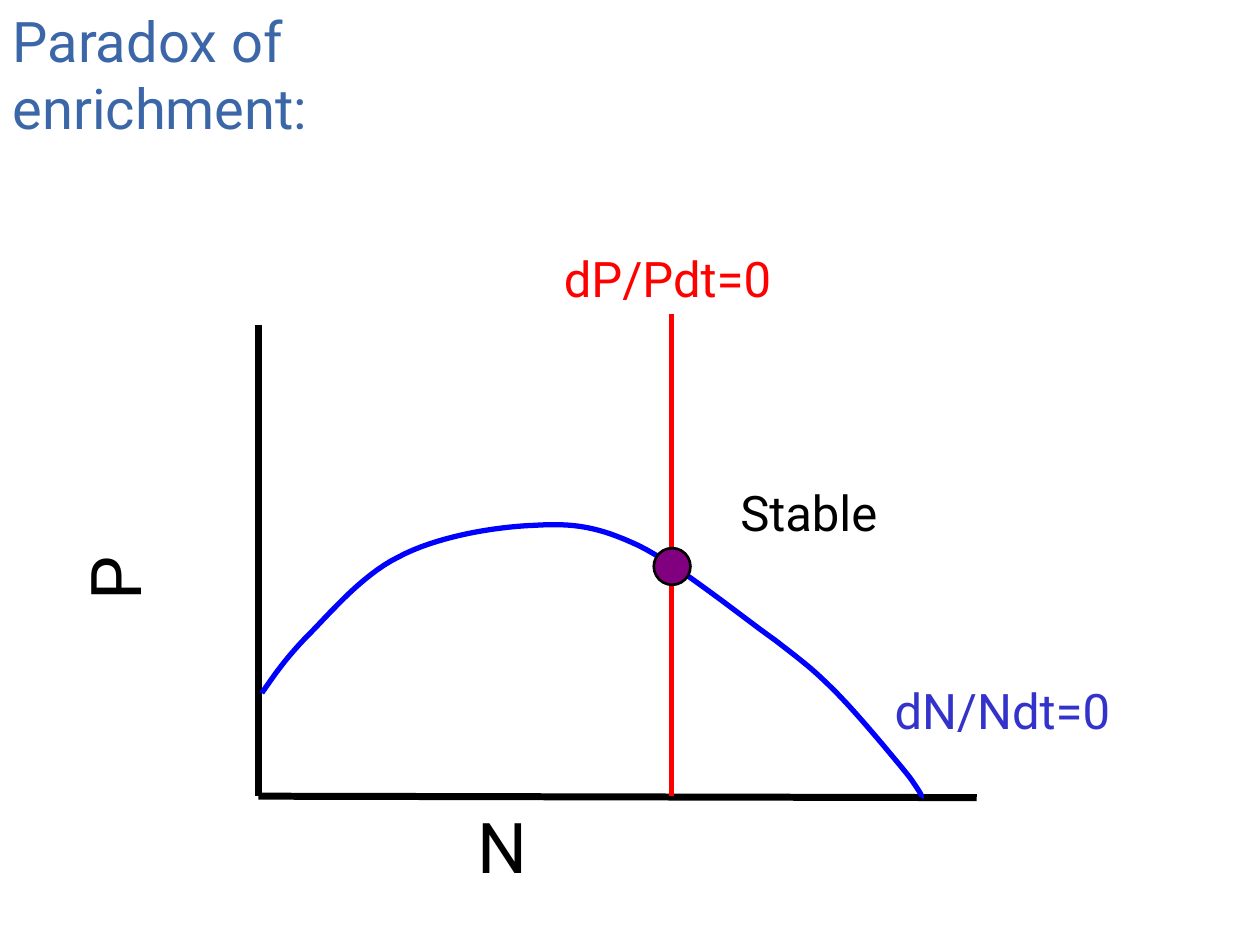
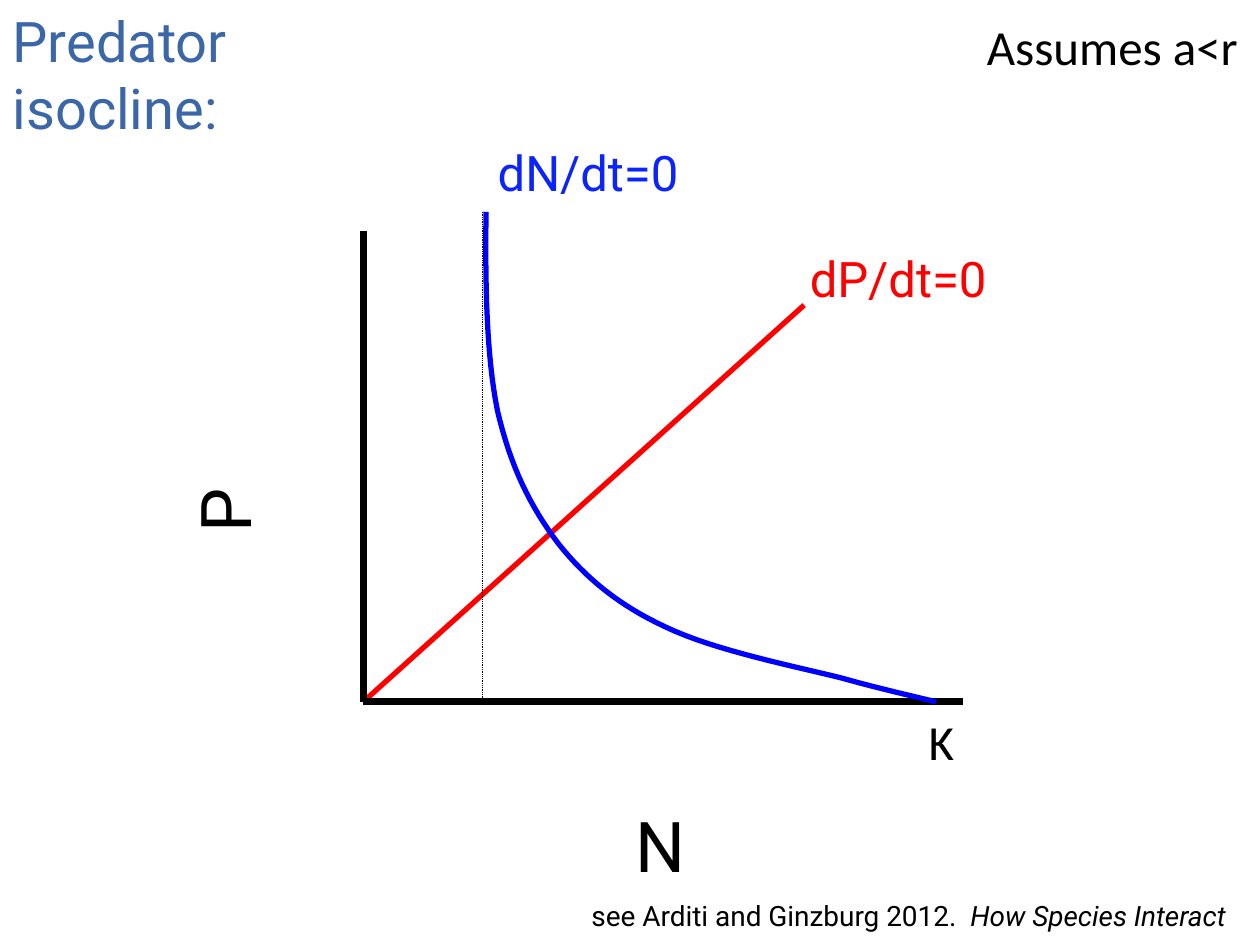
from lxml import etree
from pptx import Presentation
from pptx.dml.color import RGBColor
from pptx.enum.dml import MSO_LINE
from pptx.enum.shapes import MSO_CONNECTOR, MSO_SHAPE
from pptx.enum.text import MSO_ANCHOR, PP_ALIGN
from pptx.oxml.ns import qn
from pptx.util import Cm, Pt

TITLE_BLUE = RGBColor(0x3B, 0x66, 0xA8)
BLACK = RGBColor(0x00, 0x00, 0x00)
RED = RGBColor(0xFF, 0x00, 0x00)
BLUE = RGBColor(0x00, 0x00, 0xFF)
PREY_LABEL_BLUE = RGBColor(0x33, 0x33, 0xCC)
PREY_LABEL_BRIGHT = RGBColor(0x0B, 0x24, 0xFB)
PURPLE = RGBColor(0x80, 0x00, 0x80)

MAIN_FONT = "Roboto"
NOTE_FONT = "Calibri"
LABEL_WIDTH, LABEL_HEIGHT = 6.99, 1.45
CURVE_STEPS = 16

# Isoclines in cm: a start point, then (control, control, end) per segment
HUMP_START = (5.28, 13.97)
HUMP_SEGMENTS = [
    ((5.49, 13.67), (5.69, 13.36), (6.12, 12.9)),
    ((6.58, 12.45), (7.26, 11.61), (8.03, 11.23)),
    ((8.79, 10.82), (9.96, 10.62), (10.77, 10.59)),
    ((11.58, 10.54), (12.07, 10.62), (12.88, 11)),
    ((13.69, 11.4), (14.94, 12.42), (15.62, 12.9)),
    ((16.28, 13.41), (16.41, 13.51), (16.87, 13.97)),
    ((17.32, 14.43), (18.06, 15.32), (18.34, 15.67)),
    ((18.59, 16.03), (18.59, 16.05), (18.57, 16.08)),
]
DECAY_START = (9.8, 4.27)
DECAY_SEGMENTS = [
    ((9.78, 5.61), (9.8, 7.16), (10.03, 8.28)),
    ((10.29, 9.4), (10.69, 10.21), (11.25, 10.95)),
    ((11.81, 11.66), (12.5, 12.22), (13.44, 12.65)),
    ((14.4, 13.11), (16.05, 13.44), (16.97, 13.67)),
    ((17.86, 13.92), (18.57, 14.07), (18.87, 14.15)),
]


def style_font(font, size, color, name=MAIN_FONT):
    font.size = Pt(size)
    font.name = name
    font.color.rgb = color


def add_titled_slide(presentation, text):
    slide = presentation.slides.add_slide(presentation.slide_layouts[5])
    title = slide.shapes.title
    title.left, title.top, title.width, title.height = Cm(0), Cm(0), Cm(8.26), Cm(3)
    title.text_frame.text = text
    title.text_frame.word_wrap = True
    title.text_frame.vertical_anchor = MSO_ANCHOR.TOP
    paragraph = title.text_frame.paragraphs[0]
    paragraph.alignment = PP_ALIGN.LEFT
    style_font(paragraph.font, 32, TITLE_BLUE)
    return slide


def add_label(slide, text, left, top, width=LABEL_WIDTH, height=LABEL_HEIGHT,
              color=BLACK, size=28, font=MAIN_FONT, align=PP_ALIGN.CENTER, wrap=True):
    box = slide.shapes.add_textbox(Cm(left), Cm(top), Cm(width), Cm(height))
    box.text_frame.word_wrap = wrap
    paragraph = box.text_frame.paragraphs[0]
    paragraph.add_run().text = text
    paragraph.alignment = align
    style_font(paragraph.font, size, color, font)
    return box


def add_line(slide, start, end, color, width, dash=None):
    line = slide.shapes.add_connector(
        MSO_CONNECTOR.STRAIGHT, *(Cm(value) for value in (*start, *end)))
    line.line.color.rgb = color
    line.line.width = Pt(width)
    if dash is not None:
        line.line.dash_style = dash
    etree.SubElement(line.element.spPr, qn("a:effectLst"))


def add_axes(slide, top, origin, x_end):
    add_line(slide, (origin[0], top), origin, BLACK, 4)
    add_line(slide, origin, x_end, BLACK, 4)


def add_axis_name(slide, text, left, top, width, rotation=0):
    box = add_label(slide, text, left, top, width, 2.2, size=40,
                    align=PP_ALIGN.LEFT, wrap=False)
    box.text_frame.paragraphs[0].line_spacing = 1.15
    box.rotation = rotation


def bezier_point(points, t):
    weights = ((1 - t) ** 3, 3 * t * (1 - t) ** 2, 3 * t ** 2 * (1 - t), t ** 3)
    return tuple(Cm(sum(weight * point[axis] for weight, point in zip(weights, points)))
                 for axis in (0, 1))


def add_curve(slide, start, segments, color):
    vertices = []
    corner = start
    for segment in segments:
        vertices += [bezier_point((corner, *segment), step / CURVE_STEPS)
                     for step in range(1, CURVE_STEPS + 1)]
        corner = segment[-1]
    builder = slide.shapes.build_freeform(Cm(start[0]), Cm(start[1]))
    builder.add_line_segments(vertices, close=False)
    curve = builder.convert_to_shape()
    curve.shadow.inherit = False
    curve.fill.background()
    curve.line.color.rgb = color
    curve.line.width = Pt(3)


def add_equilibrium(slide, left, top, diameter):
    dot = slide.shapes.add_shape(
        MSO_SHAPE.OVAL, Cm(left), Cm(top), Cm(diameter), Cm(diameter))
    dot.shadow.inherit = False
    dot.fill.solid()
    dot.fill.fore_color.rgb = PURPLE
    dot.line.color.rgb = BLACK
    dot.line.width = Pt(1.5)


def build_enrichment(presentation):
    slide = add_titled_slide(presentation, "Paradox of enrichment:")
    # Axes
    add_axes(slide, 6.55, (5.21, 16.05), (19.69, 16.08))
    add_axis_name(slide, "N", 9.37, 15.82, 1.63)
    add_axis_name(slide, "P", 1.5, 10.59, 1.32, rotation=270)
    # Isoclines
    add_label(slide, "dN/Ndt=0", 16.71, 13.59, color=PREY_LABEL_BLUE)
    add_line(slide, (13.54, 6.32), (13.54, 16.05), RED, 3)
    add_label(slide, "dP/Pdt=0", 9.96, 4.88, color=RED)
    add_curve(slide, HUMP_START, HUMP_SEGMENTS, BLUE)
    # Equilibrium
    add_equilibrium(slide, 13.18, 11.05, 0.74)
    add_label(slide, "Stable", 11.96, 9.6, width=8.69)


def build_isocline(presentation):
    slide = add_titled_slide(presentation, "Predator isocline:")
    # Predator isocline and axes
    origin = (7.32, 14.15)
    add_line(slide, (16.21, 6.15), origin, RED, 3)
    add_axes(slide, 4.65, origin, (19.41, 14.15))
    add_axis_name(slide, "N", 12.57, 15.8, 1.65)
    add_axis_name(slide, "P", 3.73, 9.22, 1.32, rotation=270)
    add_label(slide, "dP/dt=0", 14.61, 4.88, color=RED)
    # Prey isocline with its asymptote
    add_curve(slide, DECAY_START, DECAY_SEGMENTS, BLUE)
    add_label(slide, "dN/dt=0", 8.36, 2.74, color=PREY_LABEL_BRIGHT)
    add_line(slide, (9.73, 4.27), (9.73, 14.12), BLACK, 0.5, MSO_LINE.ROUND_DOT)
    # Notes and source
    add_label(slide, "K", 18.47, 14.22, width=1.04, font=NOTE_FONT,
              align=PP_ALIGN.LEFT, wrap=False)
    add_label(slide, "Assumes a<r", 17.78, 0.2, width=7.42, font=NOTE_FONT,
              align=PP_ALIGN.RIGHT)
    citation = add_label(slide, "see Arditi and Ginzburg 2012. ", 10.8, 17.98,
                         width=15.04, height=0.94, size=16)
    book = citation.text_frame.paragraphs[0].add_run()
    book.text = " How Species Interact"
    book.font.italic = True


def main():
    presentation = Presentation()
    presentation.slide_width, presentation.slide_height = Cm(25.4), Cm(19.05)
    build_enrichment(presentation)
    build_isocline(presentation)
    presentation.save("out.pptx")


if __name__ == "__main__":
    main()
